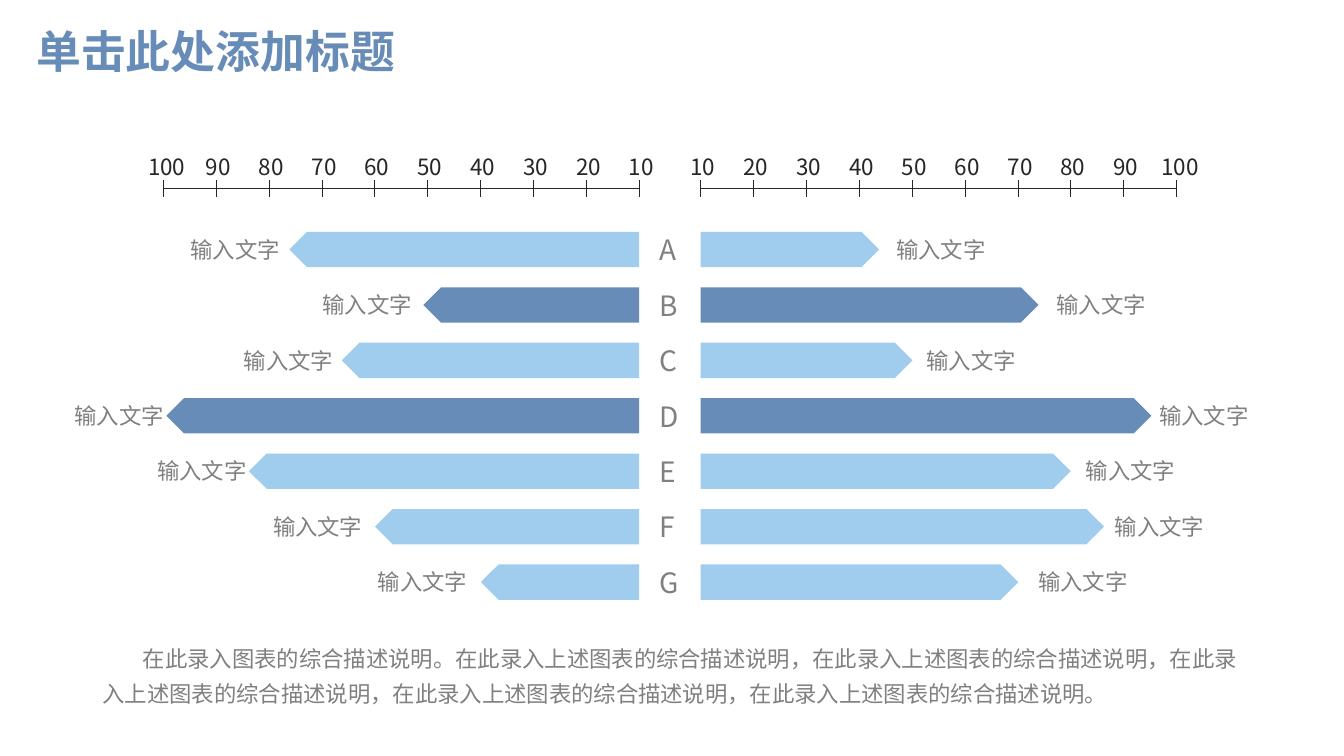
"""Build a two-sided bar comparison slide."""
from dataclasses import dataclass

from lxml import etree
from pptx import Presentation
from pptx.dml.color import RGBColor
from pptx.enum.shapes import MSO_CONNECTOR, MSO_SHAPE
from pptx.enum.text import MSO_ANCHOR, MSO_AUTO_SIZE, PP_ALIGN
from pptx.oxml.ns import qn
from pptx.util import Inches, Pt

STRAIGHT = MSO_CONNECTOR.STRAIGHT
PENTAGON = MSO_SHAPE.PENTAGON
MIDDLE = MSO_ANCHOR.MIDDLE
NO_FIT = MSO_AUTO_SIZE.NONE
GROW = MSO_AUTO_SIZE.SHAPE_TO_FIT_TEXT
LEFT = PP_ALIGN.LEFT


@dataclass(frozen=True)
class Theme:
    """Colours, fonts and type sizes of the slide."""
    accent: str = "668CB7"
    light: str = "A0CCED"
    ink: str = "262626"
    grey: str = "808080"
    title_font: str = "Montserrat"
    text_font: str = "Noto Sans CJK SC"
    title_size: int = 32
    letter_size: int = 20
    text_size: int = 16
    axis_width: float = 0.5


THEME = Theme()

LEFT_ZERO, RIGHT_ZERO = 6.34, 6.95
AXIS_LENGTH, AXIS_Y, TICK_HALF = 4.72, 1.87, 0.08
SCALE = range(10, 101, 10)
ROW_TOP, ROW_PITCH, BAR_HEIGHT = 2.3, 0.55, 0.35
BAR_LABEL = "输入文字"
TITLE = "单击此处添加标题"
SUMMARY = (
    "在此录入图表的综合描述说明。在此录入上述图表的综合描述说明，"
    "在此录入上述图表的综合描述说明，在此录入上述图表的综合描述说明，"
    "在此录入上述图表的综合描述说明，在此录入上述图表的综合描述说明。"
)

# letter, colour, left bar length, left label x, right bar length, right label x
ROWS = [
    ("A", THEME.light, 3.47, 1.79, 1.77, 8.79),
    ("B", THEME.accent, 2.14, 3.1, 3.35, 10.38),
    ("C", THEME.light, 2.95, 2.32, 2.1, 9.09),
    ("D", THEME.accent, 4.69, 0.64, 4.47, 11.4),
    ("E", THEME.light, 3.87, 1.46, 3.67, 10.67),
    ("F", THEME.light, 2.62, 2.61, 4.0, 10.96),
    ("G", THEME.light, 1.57, 3.65, 3.15, 10.2),
]


def style_text(para, size, color, font=THEME.text_font, bold=False):
    """Format every run of a paragraph for Latin and East Asian text."""
    for span in para.runs:
        span.font.size = Pt(size)
        span.font.bold = bold
        span.font.name = font
        span.font.color.rgb = RGBColor.from_string(color)
        east_asian = etree.SubElement(span.font._element, qn("a:ea"))
        east_asian.set("typeface", THEME.text_font)


def add_text(page, text, left, top, width, height, size, color):
    """Add a left-aligned text box and return its paragraph."""
    box = page.shapes.add_textbox(Inches(left), Inches(top), Inches(width), Inches(height))
    frame = box.text_frame
    frame.word_wrap = True
    frame.auto_size = GROW
    frame.text = text
    para = frame.paragraphs[0]
    style_text(para, size, color)
    return para


def add_line(group, x1, y1, x2, y2):
    """Add one thin axis line to a group."""
    line = group.shapes.add_connector(STRAIGHT, Inches(x1), Inches(y1), Inches(x2), Inches(y2))
    line.line.color.rgb = RGBColor.from_string(THEME.ink)
    line.line.width = Pt(THEME.axis_width)
    etree.SubElement(line._element.spPr, qn("a:effectLst"))


def add_axis(page, zero, direction):
    """Draw a scale running from zero to the left (-1) or right (1)."""
    group = page.shapes.add_group_shape()
    add_line(group, zero, AXIS_Y, zero + direction * AXIS_LENGTH, AXIS_Y)
    step = direction * AXIS_LENGTH / (len(SCALE) - 1)
    for index, value in enumerate(SCALE):
        x = zero + index * step
        add_line(group, x, AXIS_Y + TICK_HALF, x, AXIS_Y - TICK_HALF)
        offset, width = (0.25, 0.6) if value == 100 else (0.2, 0.46)
        add_text(page, str(value), x - offset, 1.47, width, 0.37, THEME.text_size, THEME.ink)


def add_bar(page, zero, direction, top, length, color):
    """Add a pointed bar that starts at the zero line."""
    left = zero if direction > 0 else zero - length
    bar = page.shapes.add_shape(
        PENTAGON, Inches(left), Inches(top), Inches(length), Inches(BAR_HEIGHT))
    bar.shadow.inherit = False
    bar.fill.solid()
    bar.fill.fore_color.rgb = RGBColor.from_string(color)
    bar.line.fill.background()
    if direction < 0:
        bar._element.spPr.get_or_add_xfrm().set("flipH", "1")


def add_row(page, index, row):
    """Add both bars, their labels and the row letter."""
    letter, color, left_length, left_x, right_length, right_x = row
    top = ROW_TOP + index * ROW_PITCH
    add_bar(page, LEFT_ZERO, -1, top, left_length, color)
    add_bar(page, RIGHT_ZERO, 1, top, right_length, color)
    for x in (left_x, right_x):
        add_text(page, BAR_LABEL, x, top - 0.01, 1.1, 0.37, THEME.text_size, THEME.grey)
    add_text(page, letter, 6.44, top - 0.04, 0.42, 0.44, THEME.letter_size, THEME.grey)


def set_title(page):
    """Place and format the title placeholder."""
    title = page.shapes.title
    title.left, title.top = Inches(0.26), Inches(0.23)
    title.width, title.height = Inches(11.5), Inches(0.62)
    frame = title.text_frame
    frame.text = TITLE
    frame.vertical_anchor = MIDDLE
    frame.auto_size = NO_FIT
    para = frame.paragraphs[0]
    para.alignment = LEFT
    para.line_spacing = 0.9
    style_text(para, THEME.title_size, THEME.accent, THEME.title_font, bold=True)


def add_summary(page):
    """Add the closing paragraph with a first-line indent."""
    para = add_text(page, SUMMARY, 0.92, 6.27, 11.5, 0.8, THEME.text_size, THEME.grey)
    para.line_spacing = 1.3
    para._p.get_or_add_pPr().set("indent", str(Inches(0.4)))


def main():
    """Build and save the deck."""
    deck = Presentation()
    deck.slide_width, deck.slide_height = Inches(13.33), Inches(7.5)
    page = deck.slides.add_slide(deck.slide_layouts[5])
    set_title(page)
    add_axis(page, LEFT_ZERO, -1)
    add_axis(page, RIGHT_ZERO, 1)
    for index, row in enumerate(ROWS):
        add_row(page, index, row)
    add_summary(page)
    deck.save("out.pptx")


if __name__ == "__main__":
    main()
